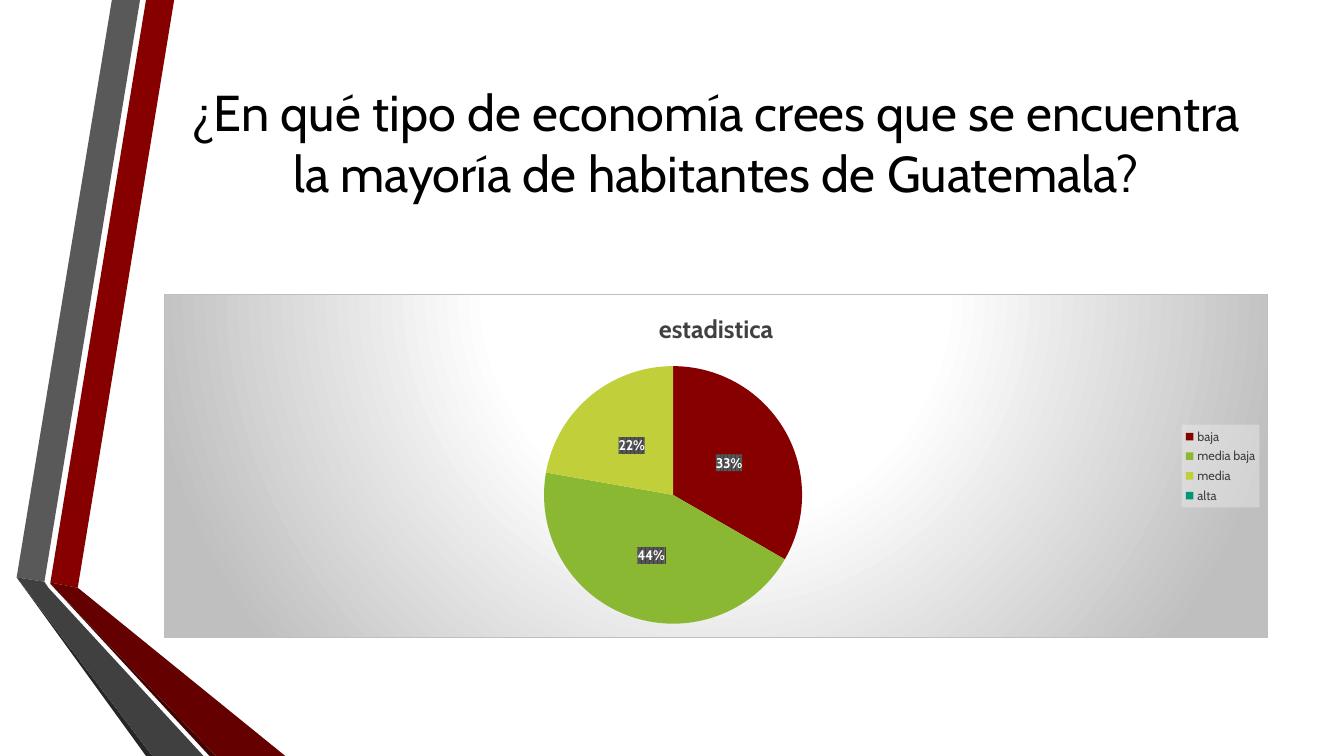
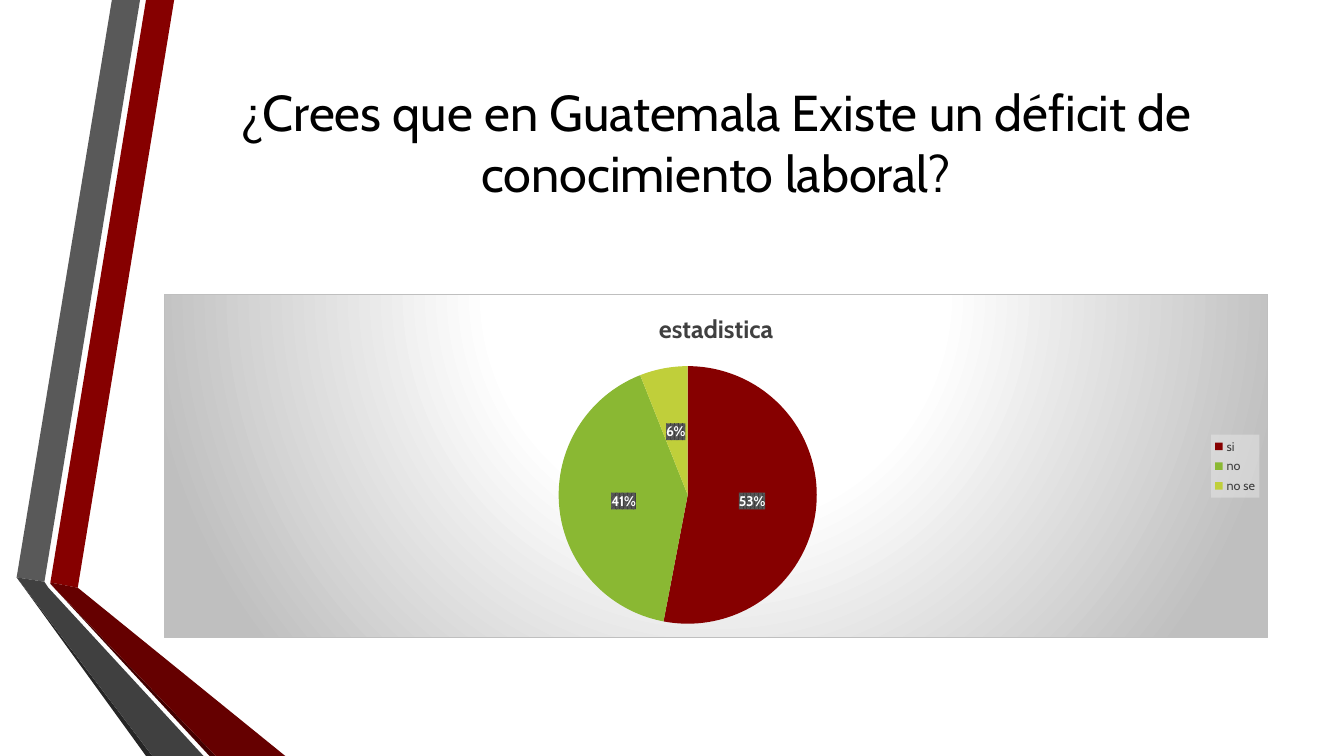
from dataclasses import dataclass

from lxml import etree
from pptx import Presentation
from pptx.chart import data as cdata
from pptx.dml.color import RGBColor
from pptx.enum import chart as ec, text as et
from pptx.oxml import parse_xml
from pptx.util import Cm, Pt

FONT = "Cabin"
BLACK = RGBColor(0x00, 0x00, 0x00)
WHITE = RGBColor(0xFF, 0xFF, 0xFF)
CHAR = RGBColor(0x40, 0x40, 0x40)
STEEL = RGBColor(0x59, 0x59, 0x59)
COAL = RGBColor(0x26, 0x26, 0x26)
SILVER = RGBColor(0xBF, 0xBF, 0xBF)
MIST = RGBColor(0xF2, 0xF2, 0xF2)
RED = RGBColor(0x86, 0x00, 0x00)
WINE = RGBColor(0x65, 0x00, 0x00)
DARK = RGBColor(0x43, 0x00, 0x00)
GREEN = RGBColor(0x8A, 0xB8, 0x33)
LIME = RGBColor(0xC0, 0xCF, 0x3A)
TEAL = RGBColor(0x02, 0x96, 0x76)
SLICES = (RED, GREEN, LIME, TEAL)

WIDE, HIGH = 33.87, 19.05
LEFT, SPAN = Cm(4.13), Cm(27.83)


@dataclass(frozen=True)
class Band:
    """A filled outline; points are in centimetres."""
    color: RGBColor
    points: tuple[tuple[float, float], ...]


@dataclass(frozen=True)
class Poll:
    title: str
    votes: dict[str, int]


BANDS = (
    Band(RED, ((1.27, 14.68), (1.96, 14.81), (4.39, 0), (3.68, 0))),
    Band(STEEL, ((3.53, 0), (2.82, 0), (0.42, 14.55), (1.12, 14.66))),
    Band(COAL, ((0.42, 14.55), (3.68, HIGH), (3.84, HIGH))),
    Band(DARK, ((1.27, 14.71), (5.28, HIGH), (5.44, HIGH))),
    Band(WINE, ((1.27, 14.68), (1.27, 14.71), (5.44, HIGH),
                (7.19, HIGH), (1.96, 14.81))),
    Band(CHAR, ((5.13, HIGH), (1.22, 14.81), (1.12, 14.66),
                (0.42, 14.55), (3.84, HIGH))),
)

POLLS = (
    Poll("¿En qué tipo de economía crees que se encuentra "
         "la mayoría de habitantes de Guatemala?",
         {"baja ": 33, "media baja": 44, "media": 22, "alta": 0}),
    Poll("¿Crees que en Guatemala Existe un déficit de "
         "conocimiento laboral?",
         {"si": 53, "no": 41, "no se": 6}),
)


def style(font, size: float, color: RGBColor, bold: bool = False) -> None:
    font.name, font.size, font.bold = FONT, Pt(size), bold
    font.color.rgb = color


def part(tag: str, inner: str) -> etree.ElementBase:
    """Wrap XML as the named element of a chart."""
    return parse_xml(
        f'<c:{tag} xmlns:c="http://schemas.openxmlformats.org/drawingml/2006/chart"'
        ' xmlns:a="http://schemas.openxmlformats.org/drawingml/2006/main">'
        f"{inner}</c:{tag}>")


def tint(color: RGBColor, extra: str = "") -> str:
    return f'<a:srgbClr val="{color}">{extra}</a:srgbClr>'


def add_bands(slide, layout) -> None:
    """Draw the bands, then hand them to the layout that all slides share."""
    for band in BANDS:
        pts = [(Cm(x), Cm(y)) for x, y in band.points]
        pen = slide.shapes.build_freeform(*pts[0])
        pen.add_line_segments(pts[1:])
        shape = pen.convert_to_shape()
        shape.shadow.inherit = False
        shape.fill.solid()
        shape.fill.fore_color.rgb = band.color
        shape.line.fill.background()
        layout.shapes.element.append(shape.element)


def add_title(slide, title: str) -> None:
    box = slide.shapes.title
    box.left, box.top, box.width, box.height = LEFT, Cm(1.9), SPAN, Cm(4.88)
    frame = box.text_frame
    frame.text = title
    frame.word_wrap = True
    frame.auto_size = et.MSO_AUTO_SIZE.NONE
    frame.vertical_anchor = et.MSO_ANCHOR.MIDDLE
    frame.margin_bottom = Cm(1.66)
    para = frame.paragraphs[0]
    para.alignment = et.PP_ALIGN.CENTER
    style(para.runs[0].font, 36, BLACK)


def add_pie(slide, votes: dict[str, int]) -> None:
    data = cdata.CategoryChartData()
    data.categories = list(votes)
    data.add_series("estadistica", list(votes.values()))
    chart = slide.shapes.add_chart(
        ec.XL_CHART_TYPE.PIE, LEFT, Cm(7.41), SPAN, Cm(8.67), data).chart
    style(chart.font, 10, BLACK)

    chart.has_title = True
    head = chart.chart_title.text_frame
    head.text = "estadistica"
    style(head.paragraphs[0].runs[0].font, 18, CHAR, True)

    chart.has_legend = True
    chart.legend.position = ec.XL_LEGEND_POSITION.RIGHT
    chart.legend.include_in_layout = False
    style(chart.legend.font, 9, CHAR)

    plot = chart.plots[0]
    plot.vary_by_categories = True
    for i, color in enumerate(SLICES[:len(votes)]):
        fill = plot.series[0].points[i].format.fill
        fill.solid()
        fill.fore_color.rgb = color

    tags = plot.series[0].data_labels
    tags.show_percentage, tags.show_value = True, False
    tags.number_format, tags.number_format_is_linked = "0%", False
    tags.position = ec.XL_LABEL_POSITION.CENTER
    style(tags.font, 10, WHITE, True)
    paint(chart.element)
    drop_zeros(chart.element, votes)


def drop_zeros(root, votes: dict[str, int]) -> None:
    """Leave empty slices without a label."""
    tags = root.xpath(".//c:ser/c:dLbls")[0]
    zeros = [i for i, count in enumerate(votes.values()) if count == 0]
    for spot, i in enumerate(zeros):
        tags.insert(spot, part("dLbl", f'<c:idx val="{i}"/><c:delete val="1"/>'))


def paint(root) -> None:
    """Add the backgrounds of the chart, its legend and its labels."""
    stops = "".join(f'<a:gs pos="{at * 1000}">{tint(color)}</a:gs>'
                    for at, color in ((0, WHITE), (39, WHITE), (100, SILVER)))
    root.xpath("c:chart")[0].addnext(part(
        "spPr",
        f'<a:gradFill><a:gsLst>{stops}</a:gsLst><a:path path="circle">'
        '<a:fillToRect l="50000" t="-80000" r="50000" b="180000"/>'
        f'</a:path></a:gradFill><a:ln w="{Pt(0.75)}"><a:solidFill>'
        f"{tint(SILVER)}</a:solidFill></a:ln>"))
    clear = tint(MIST, '<a:alpha val="39000"/>')
    root.xpath(".//c:legend/c:txPr")[0].addprevious(
        part("spPr", f"<a:solidFill>{clear}</a:solidFill>"))
    root.xpath(".//c:ser/c:dLbls/c:txPr")[0].addprevious(part(
        "spPr",
        f'<a:pattFill prst="pct75"><a:fgClr>{tint(CHAR)}</a:fgClr>'
        f"<a:bgClr>{tint(STEEL)}</a:bgClr></a:pattFill>"))


def main() -> None:
    deck = Presentation()
    deck.slide_width, deck.slide_height = Cm(WIDE), Cm(HIGH)
    layout = deck.slide_layouts[5]
    for i, poll in enumerate(POLLS):
        slide = deck.slides.add_slide(layout)
        if i == 0:
            add_bands(slide, layout)
        add_title(slide, poll.title)
        add_pie(slide, poll.votes)
    deck.save("out.pptx")


if __name__ == "__main__":
    main()
